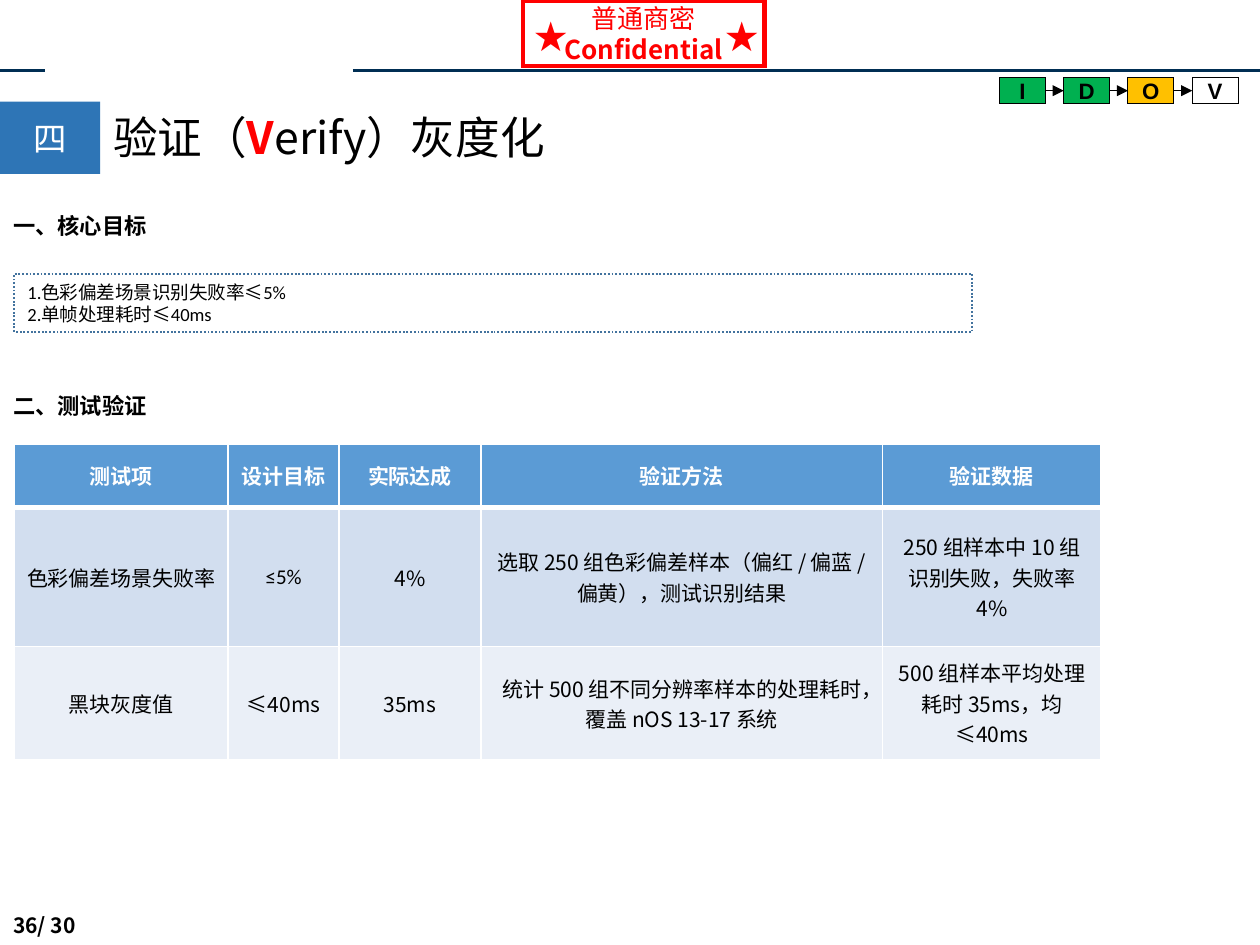
"""Build the Verify slide with its test results table."""
from dataclasses import dataclass
from itertools import pairwise
from typing import Optional

from lxml.etree import SubElement
from pptx import Presentation
from pptx.dml.color import RGBColor
from pptx.enum.dml import MSO_LINE
from pptx.enum.shapes import MSO_CONNECTOR as Connector, MSO_SHAPE as Preset
from pptx.enum.text import MSO_ANCHOR as Anchor, PP_ALIGN as Align
from pptx.oxml.ns import qn
from pptx.util import Inches, Pt

HEIGHT = Inches(7.07)
WIDTH = HEIGHT * 4 // 3


@dataclass(frozen=True)
class Theme:
    """Colours, typefaces and type sizes."""
    black: str = "000000"
    white: str = "FFFFFF"
    red: str = "FF0000"
    navy: str = "002E53"
    chapter: str = "2E75B6"
    goal_border: str = "43739E"
    done: str = "00B050"
    current: str = "FFC000"
    header: str = "5B9BD5"
    bands: tuple[str, str] = ("D2DEEF", "EAEFF7")
    cjk: str = "Noto Sans CJK SC"
    latin: str = "Calibri"
    step_font: str = "Arial"
    title_size: float = 24
    mark_size: float = 18
    stamp_size: float = 14
    heading_size: float = 12
    body_size: float = 11.3
    goal_size: float = 10


THEME = Theme()


@dataclass(frozen=True)
class Run:
    """A stretch of text in one format."""
    text: str
    size: float
    color: str = THEME.black
    bold: bool = False
    font: str = THEME.cjk


@dataclass(frozen=True)
class Area:
    """A rectangle in percent of the slide's width and height."""
    left: float
    top: float
    width: float
    height: float

    def emu(self) -> tuple[int, int, int, int]:
        """Return the rectangle in slide units."""
        return (across(self.left), down(self.top), across(self.width), down(self.height))


@dataclass(frozen=True)
class Block:
    """A text area, framed when it has a fill or a border."""
    area: Area
    paragraphs: list[list[Run]]
    fill: Optional[str] = None
    border: Optional[str] = None
    weight: float = 1
    dotted: bool = False
    align: Align = Align.LEFT
    anchor: Anchor = Anchor.MIDDLE
    inset: float = 0.1


def across(percent: float) -> int:
    """Turn a share of the width into slide units."""
    return round(WIDTH * percent / 100)


def down(percent: float) -> int:
    """Turn a share of the height into slide units."""
    return round(HEIGHT * percent / 100)


def write(paragraph, runs: list[Run], align: Align) -> None:
    """Add the runs to a paragraph."""
    paragraph.alignment = align
    for part in runs:
        run = paragraph.add_run()
        run.text = part.text
        run.font.size = Pt(part.size)
        run.font.bold = part.bold
        run.font.name = part.font
        run.font.color.rgb = RGBColor.from_string(part.color)
        SubElement(run.font._element, qn("a:ea"), typeface=THEME.cjk)


def draw_block(slide, block: Block):
    """Draw a text area and return its shape."""
    if block.fill or block.border:
        shape = slide.shapes.add_shape(Preset.RECTANGLE, *block.area.emu())
        shape.shadow.inherit = False
        if block.fill:
            shape.fill.solid()
            shape.fill.fore_color.rgb = RGBColor.from_string(block.fill)
        else:
            shape.fill.background()
        if block.border:
            shape.line.color.rgb = RGBColor.from_string(block.border)
            shape.line.width = Pt(block.weight)
            if block.dotted:
                shape.line.dash_style = MSO_LINE.ROUND_DOT
            SubElement(shape.line._get_or_add_ln(), qn("a:miter"), lim="800000")
        else:
            shape.line.fill.background()
    else:
        shape = slide.shapes.add_textbox(*block.area.emu())
    frame = shape.text_frame
    frame.word_wrap = True
    frame.vertical_anchor = block.anchor
    frame.margin_left = frame.margin_right = Inches(block.inset)
    frame.margin_top = frame.margin_bottom = Inches(block.inset / 2)
    for index, runs in enumerate(block.paragraphs):
        paragraph = frame.add_paragraph() if index else frame.paragraphs[0]
        write(paragraph, runs, block.align)
    return shape


def draw_line(slide, start: float, end: float, level: float, color: str, weight: float):
    """Draw a level line and return its connector."""
    line = slide.shapes.add_connector(
        Connector.STRAIGHT, across(start), down(level), across(end), down(level))
    line.line.color.rgb = RGBColor.from_string(color)
    line.line.width = Pt(weight)
    SubElement(line._element.spPr, qn("a:effectLst"))
    return line


def draw_steps(slide) -> None:
    """Draw the four linked steps of the method."""
    fills = {"I": THEME.done, "D": THEME.done, "O": THEME.current, "V": None}
    steps = []
    for index, (letter, fill) in enumerate(fills.items()):
        area = Area(79.32 + 5.1 * index, 8.18, 3.65, 2.83)
        label = Run(letter, THEME.heading_size, bold=True, font=THEME.step_font)
        steps.append(draw_block(slide, Block(
            area, [[label]], fill, THEME.black, 0.5, align=Align.CENTER, inset=0)))
    for before, after in pairwise(steps):
        arrow = draw_line(slide, 0, 1, 9.6, THEME.black, 0.5)
        arrow.begin_connect(before, 3)
        arrow.end_connect(after, 1)
        SubElement(arrow.line._get_or_add_ln(), qn("a:tailEnd"), type="triangle")


def style_cell(cell, fill: str, top: float, bottom: float) -> None:
    """Set a cell's fill, borders, margins and anchor."""
    cell.vertical_anchor = Anchor.MIDDLE
    cell.margin_left = cell.margin_right = Inches(0.09)
    cell.margin_top = cell.margin_bottom = Inches(0.05)
    properties = cell._tc.get_or_add_tcPr()
    for side, weight in {"L": 1, "R": 1, "T": top, "B": bottom}.items():
        edge = SubElement(properties, qn(f"a:ln{side}"), w=str(Pt(weight)))
        SubElement(SubElement(edge, qn("a:solidFill")), qn("a:srgbClr"), val=THEME.white)
    cell.fill.solid()
    cell.fill.fore_color.rgb = RGBColor.from_string(fill)


def draw_results(slide) -> None:
    """Draw the table of test results."""
    results = [
        ["测试项", "设计目标", "实际达成", "验证方法", "验证数据"],
        ["色彩偏差场景失败率", "≤5%", "4%",
         "选取 250 组色彩偏差样本（偏红 / 偏蓝 / 偏黄），测试识别结果",
         "250 组样本中 10 组识别失败，失败率 4%"],
        ["黑块灰度值", "≤40ms", "35ms",
         "统计 500 组不同分辨率样本的处理耗时，覆盖 nOS 13-17 系统",
         "500 组样本平均处理耗时 35ms，均≤40ms"],
    ]
    widths = [16.97, 8.8, 11.25, 31.9, 17.33]
    heights = [6.75, 14.7, 12]
    area = Area(1.14, 46.96, sum(widths), sum(heights))
    table = slide.shapes.add_table(len(heights), len(widths), *area.emu()).table
    for column, width in zip(table.columns, widths):
        column.width = across(width)
    for index, (row, height) in enumerate(zip(table.rows, heights)):
        row.height = down(height)
        heading = index == 0
        fill = THEME.header if heading else THEME.bands[index - 1]
        for cell, text in zip(row.cells, results[index]):
            style_cell(cell, fill, 3 if index == 1 else 1, 3 if heading else 1)
            run = Run(text, THEME.body_size, THEME.white if heading else THEME.black, heading,
                      THEME.latin if text == "≤5%" else THEME.cjk)
            write(cell.text_frame.paragraphs[0], [run], Align.CENTER)


def main() -> None:
    """Build and save the slide."""
    deck = Presentation()
    deck.slide_width, deck.slide_height = WIDTH, HEIGHT
    slide = deck.slides.add_slide(deck.slide_layouts[6])
    for start, end in ((28, 100), (0, 3.6)):
        draw_line(slide, start, end, 7.47, THEME.navy, 1.5)
    blocks = [
        Block(Area(0, 95.8, 10.9, 4.1), [[Run("36/ 30", THEME.body_size, bold=True)]]),
        Block(Area(41.48, 0.15, 19.2, 6.8),
              [[Run("普通商密", THEME.stamp_size, THEME.red)],
               [Run("Confidential", THEME.stamp_size, THEME.red, True)]],
              border=THEME.red, weight=2.25, align=Align.CENTER),
        Block(Area(0, 10.75, 7.95, 7.65), [[Run("四", THEME.mark_size, THEME.white)]],
              THEME.chapter, align=Align.CENTER),
        Block(Area(7.95, 10.9, 57.6, 7.1),
              [[Run("验证（", THEME.title_size), Run("V", THEME.title_size, THEME.red, True),
                Run("erify）灰度化", THEME.title_size)]]),
        Block(Area(1.13, 28.95, 76, 6.2),
              [[Run(goal, THEME.goal_size, font=THEME.latin)]
               for goal in ("1.色彩偏差场景识别失败率≤5%", "2.单帧处理耗时≤40ms")],
              border=THEME.goal_border, dotted=True),
    ]
    blocks += [Block(Area(left, 0.95, 5.2, 5.66), [[Run("★", THEME.mark_size, THEME.red)]])
               for left in (41.37, 56.5)]
    blocks += [Block(Area(0, top, 30, 4.6),
                     [[Run(heading, THEME.heading_size, bold=True, font=THEME.latin)]],
                     anchor=Anchor.TOP)
               for top, heading in ((21.72, "一、核心目标"), (40.82, "二、测试验证"))]
    for block in blocks:
        draw_block(slide, block)
    draw_steps(slide)
    draw_results(slide)
    deck.save("out.pptx")


if __name__ == "__main__":
    main()
